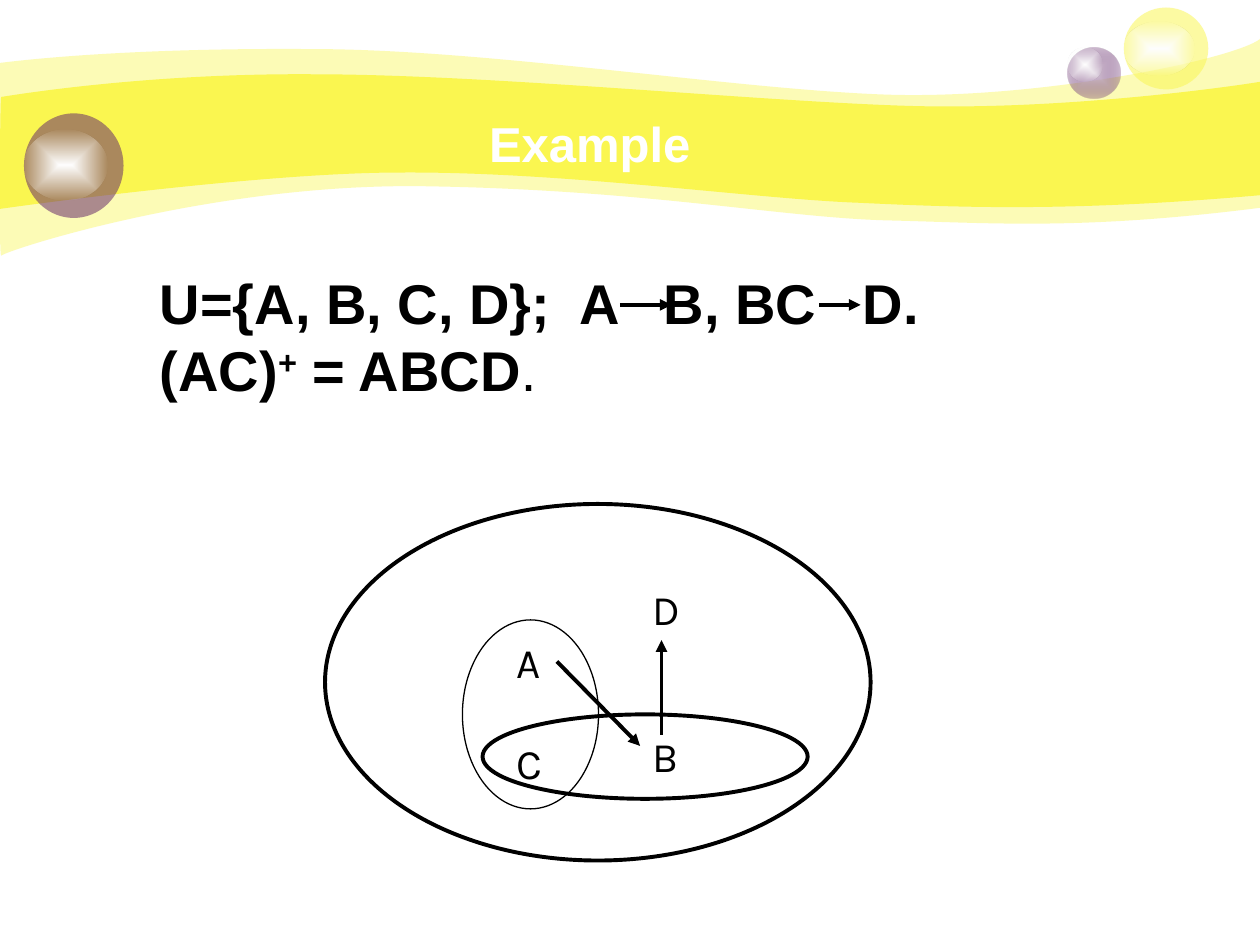
from lxml import etree
from pptx import Presentation
from pptx import util as u
from pptx.dml.color import RGBColor
from pptx.enum import shapes, text
from pptx.oxml.ns import qn

COLORS = {"black": "000000", "white": "FFFFFF", "clear": "FEFEFE",
          "yellow": "FAF650", "purple": "632769", "lilac": "D6C7D7"}
OUTER_WAVE = [
    [(0, 0.5)],
    [(0.24, 0.47), (1.07, 0.38), (2.47, 0.39)],
    [(3.86, 0.39), (5.75, 0.7), (6.99, 0.75)],
    [(8.22, 0.8), (9.8, 0.47), (10, 0.31)],
    [(10, 1.65)],
    [(8.58, 1.83), (7.87, 1.77), (7.05, 1.75)],
    [(6.22, 1.73), (5.15, 1.51), (3.43, 1.48)],
    [(1.72, 1.44), (0.04, 1.99), (0.01, 2.03)],
    [(-0.01, 2.08), (0, 0.75), (0, 0.5)],
]
INNER_WAVE = [
    [(0.01, 0.77)],
    [(0.02, 0.77), (1.1, 0.58), (2.48, 0.59)],
    [(3.86, 0.59), (5.95, 0.8), (7.18, 0.84)],
    [(8.41, 0.88), (9.76, 0.69), (10, 0.65)],
    [(10, 1.55)],
    [(8.53, 1.68), (7.65, 1.65), (6.82, 1.61)],
    [(5.99, 1.58), (4.47, 1.36), (3.17, 1.37)],
    [(2.03, 1.37), (-0.02, 1.66), (-0.01, 1.66)],
    [(0, 1.66), (0, 0.77), (0.01, 0.77)],
]
GLOW = [("white", 100), ("clear", 0)]


def rgb(name):
    """Return the named colour."""
    return RGBColor.from_string(COLORS[name])


def sub(parent, tag, **attrs):
    """Append a drawing element with the given attributes."""
    return etree.SubElement(parent, qn(f"a:{tag}"), {k: str(v) for k, v in attrs.items()})


def add_color(parent, name, alpha):
    """Append a colour with its opacity in percent."""
    sub(sub(parent, "srgbClr", val=COLORS[name]), "alpha", val=alpha * 1000)


def paint(sp, stops):
    """Fill a shape with one colour, or with a gradient from its centre."""
    sp.shadow.inherit = False
    sp.line.fill.background()
    sp.fill.solid()
    solid = sp.element.spPr.find(qn("a:solidFill"))
    if len(stops) == 1:
        add_color(solid, *stops[0])
        return
    grad = etree.Element(qn("a:gradFill"), rotWithShape="1")
    stop_list = sub(grad, "gsLst")
    for pos, stop in zip((0, 100000), stops):
        add_color(sub(stop_list, "gs", pos=pos), *stop)
    sub(sub(grad, "path", path="rect"), "fillToRect", l=50000, t=50000, r=50000, b=50000)
    solid.getparent().replace(solid, grad)


def add_run(p, content, size=24, font="Karla", color="black", bold=False, raised=0):
    """Add formatted text to a paragraph."""
    r = p.add_run()
    r.text = content
    r.font.size, r.font.name, r.font.bold = u.Pt(size), font, bold
    r.font.color.rgb = rgb(color)
    if raised:
        r._r.get_or_add_rPr().set("baseline", str(raised * 1000))


def add_box(s, box, anchor=text.MSO_ANCHOR.TOP, wrap=True):
    """Add a text box and return its text frame."""
    tf = s.shapes.add_textbox(*map(u.Inches, box)).text_frame
    tf.word_wrap, tf.vertical_anchor = wrap, anchor
    return tf


def add_ellipse(s, box):
    """Add an ellipse without a shadow."""
    sp = s.shapes.add_shape(shapes.MSO_SHAPE.OVAL, *map(u.Inches, box))
    sp.shadow.inherit = False
    return sp


def add_ring(s, box, width=2.25):
    """Add an unfilled black ellipse."""
    sp = add_ellipse(s, box)
    sp.fill.background()
    sp.line.color.rgb, sp.line.width = rgb("black"), u.Pt(width)


def add_arrow(s, *ends):
    """Add a black arrow from the first point to the second."""
    c = s.shapes.add_connector(shapes.MSO_CONNECTOR.STRAIGHT, *map(u.Inches, ends))
    c.line.color.rgb, c.line.width = rgb("black"), u.Pt(2.25)
    sub(c.element.spPr.find(qn("a:ln")), "tailEnd", type="triangle")
    sub(c.element.spPr, "effectLst")


def add_wave(s, outline, alpha):
    """Add a yellow band, turning each three-point segment into a Bezier curve."""
    start, *points = [tuple(map(u.Inches, pt)) for seg in outline for pt in seg]
    builder = s.shapes.build_freeform(*start)
    builder.add_line_segments(points)
    sp = builder.convert_to_shape()
    lines = iter(list(sp.element.spPr.iter(qn("a:lnTo"))))
    for seg in outline[1:]:
        group = [next(lines) for _ in seg]
        if len(group) == 3:
            curve = etree.Element(qn("a:cubicBezTo"))
            group[0].addprevious(curve)
            for line in group:
                curve.append(line[0])
                line.getparent().remove(line)
    paint(sp, [("yellow", alpha)])


def add_ball(s, box, stops, glow_box):
    """Add a ball with a highlight."""
    paint(add_ellipse(s, box), stops)
    paint(add_ellipse(s, glow_box), GLOW)


def add_banner(s):
    """Draw the waves and balls behind the title."""
    add_wave(s, OUTER_WAVE, 41)
    add_wave(s, INNER_WAVE, 100)
    add_ball(s, (8.47, 0.38, 0.42, 0.4), [("lilac", 100), ("purple", 31)], (8.47, 0.38, 0.28, 0.27))
    add_ball(s, (8.92, 0.06, 0.67, 0.65), [("yellow", 53)], (8.92, 0.17, 0.56, 0.43))
    add_ball(s, (0.19, 0.9, 0.79, 0.83), [("purple", 53)], (0.19, 1.03, 0.66, 0.56))


def add_title(s, box):
    """Place the title in front of the banner."""
    title = s.shapes.title
    title.left, title.top, title.width, title.height = map(u.Inches, box)
    title.element.getparent().append(title.element)
    tf = title.text_frame
    tf.auto_size, tf.vertical_anchor = text.MSO_AUTO_SIZE.NONE, text.MSO_ANCHOR.BOTTOM
    tf.paragraphs[0].alignment = text.PP_ALIGN.CENTER
    add_run(tf.paragraphs[0], "Example", size=28, font="Arial", color="white", bold=True)


def add_diagram(s, box):
    """Draw the attribute sets and their dependencies inside the box."""
    x, y, w, h = box
    add_ring(s, box)
    tf = add_box(s, (x + 1.42, y + 1, 0.42, 1.3))
    add_run(tf.paragraphs[0], "A")
    p = tf.add_paragraph()
    p.space_before = u.Pt(29)
    add_run(p, "C")
    for label, top in (("D", 0.58), ("B", 1.75)):
        tf = add_box(s, (x + 2.5, y + top, 0.44, 0.5), wrap=False)
        add_run(tf.paragraphs[0], label)
    add_arrow(s, x + 1.84, y + 1.25, x + 2.5, y + 1.92)
    add_arrow(s, x + 2.67, y + 1.83, x + 2.67, y + 1.08)
    add_ring(s, (x + 1.09, y + 0.92, 1.08, 1.5), width=0.75)
    add_ring(s, (x + 1.25, y + 1.67, 2.58, 0.67))


def add_formula(s, box):
    """Write the dependencies and the closure, with arrows in the gaps."""
    x, y, w, h = box
    style = {"size": 32, "font": "Arial"}
    tf = add_box(s, box, anchor=text.MSO_ANCHOR.MIDDLE)
    p = tf.paragraphs[0]
    tabs = sub(p._p.get_or_add_pPr(), "tabLst")
    for stop in (3.33, 4, 5.58):
        sub(tabs, "tab", pos=u.Inches(stop), algn="l")
    add_run(p, "U={A, B, C, D};\tA\tB, BC\tD.", bold=True, **style)
    p = tf.add_paragraph()
    add_run(p, "(AC)", bold=True, **style)
    add_run(p, "+", bold=True, raised=30, **style)
    add_run(p, " = ABCD", bold=True, **style)
    add_run(p, ".", **style)
    for start, end in ((3.75, 4.16), (5.33, 5.66)):
        add_arrow(s, x + start, y + 0.34, x + end, y + 0.34)


def main():
    """Build and save the slide."""
    prs = Presentation()
    prs.slide_width, prs.slide_height = u.Inches(10), u.Inches(7.5)
    s = prs.slides.add_slide(prs.slide_layouts[5])
    add_banner(s)
    add_title(s, (0.42, 0.5, 8.52, 0.92))
    add_diagram(s, (2.58, 4, 4.33, 2.83))
    add_formula(s, (1.17, 2.08, 8.33, 1.17))
    prs.save("out.pptx")


if __name__ == "__main__":
    main()
